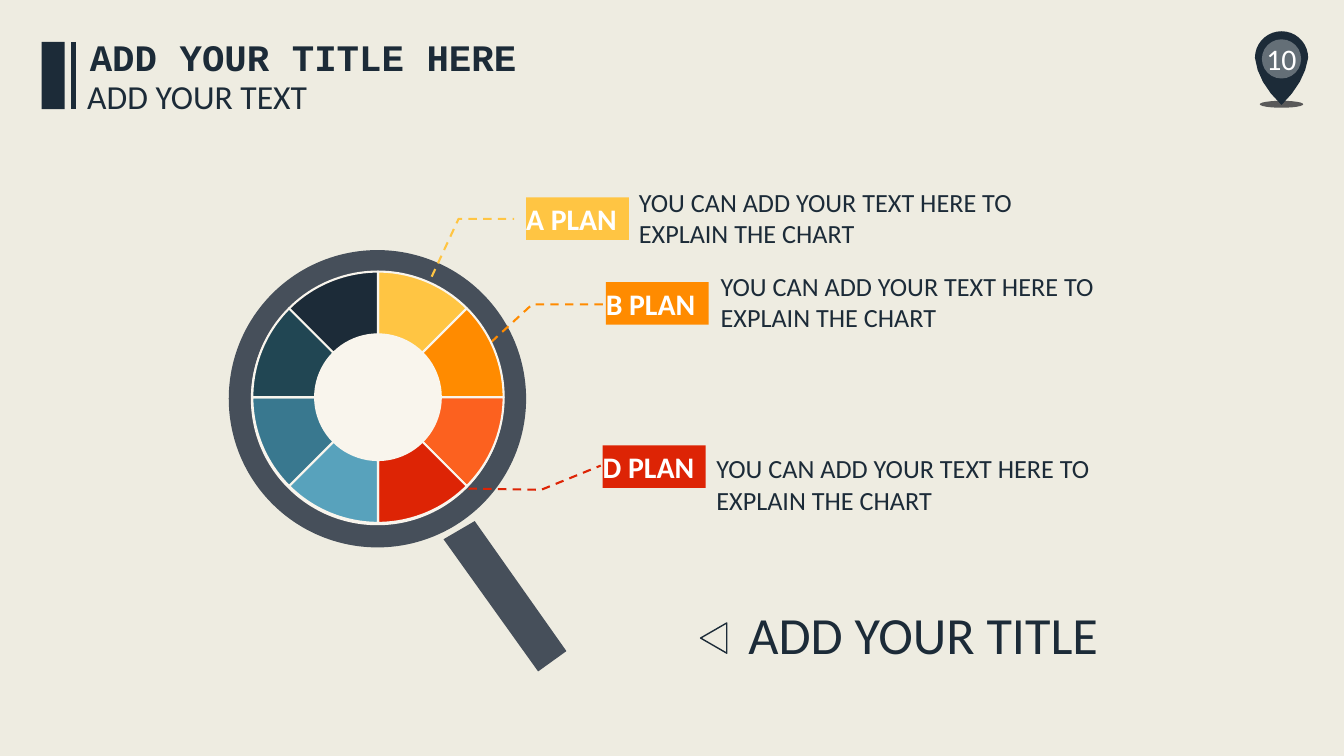
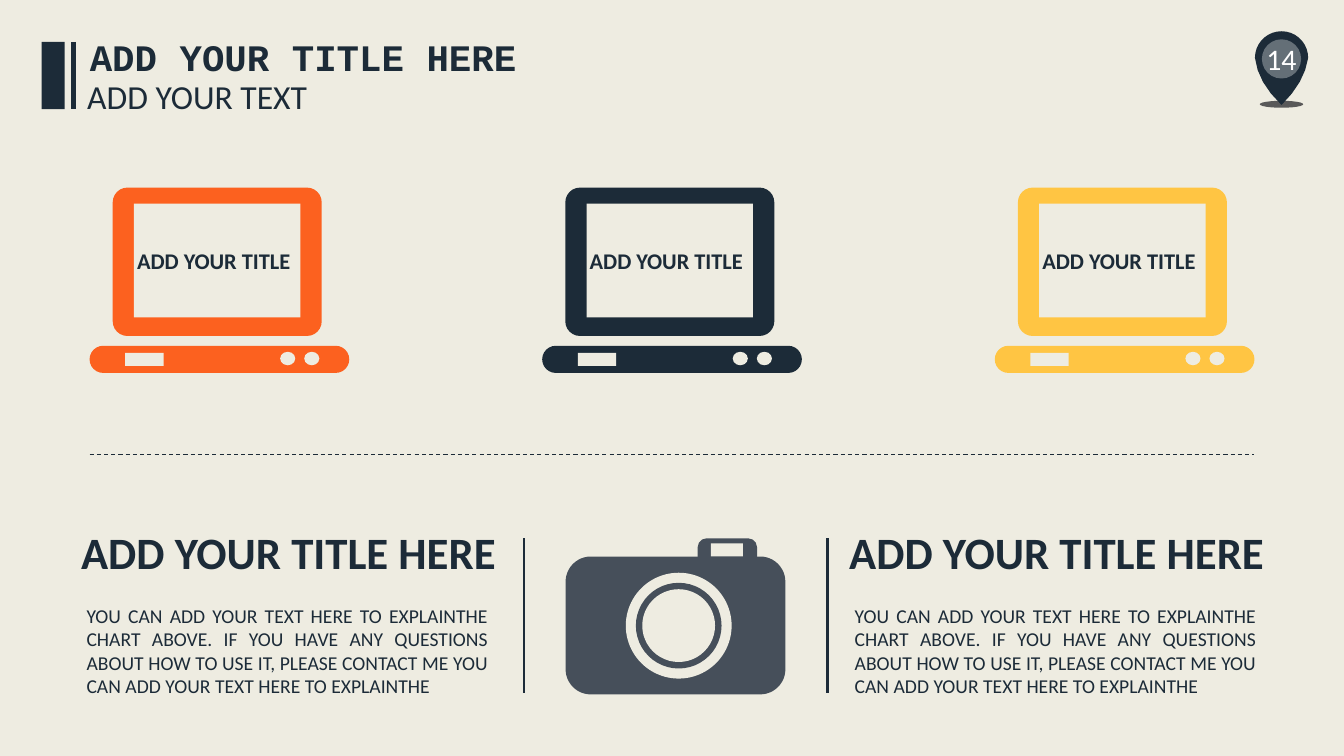
import math
from dataclasses import dataclass
from lxml import etree
from pptx import Presentation
from pptx import util as u
from pptx.chart import data as cd
from pptx.dml import color as dc
from pptx.enum import chart as ch, dml, shapes, text
from pptx.oxml import ns


@dataclass(frozen=True)
class Theme:
    paper: str = "EEECE1"
    ink: str = "1C2B38"
    slate: str = "464F5A"
    cream: str = "F9F5ED"
    shade: str = "595959"
    white: str = "FFFFFF"
    gold: str = "FFC543"
    amber: str = "FF8B00"
    flame: str = "FC611F"
    red: str = "DD2405"
    sky: str = "58A2BC"
    sea: str = "39788F"
    teal: str = "214653"
    sans: str = "Calibri"
    mono: str = "Courier New"
    hero: float = 37.3
    big: float = 32
    head: float = 26.7
    sub: float = 24
    tag: float = 21.3
    note: float = 18.7
    small: float = 16
    body: float = 14


T = Theme()
KIND = shapes.MSO_SHAPE
LEFT, MID, JUST = (text.PP_ALIGN.LEFT, text.PP_ALIGN.CENTER, text.PP_ALIGN.JUSTIFY)


def rgb(tone):
    return dc.RGBColor.from_string(tone)


def paint(item, tone):
    item.fill.solid()
    item.fill.fore_color.rgb = rgb(tone)


def stroke(line, tone, width, dash=False):
    line.color.rgb = rgb(tone)
    line.width = u.Pt(width)
    if dash:
        line.dash_style = dml.MSO_LINE.DASH


def shape(page, kind, x, y, w, h, tone):
    item = page.shapes.add_shape(kind, u.Pt(x), u.Pt(y), u.Pt(w), u.Pt(h))
    item.shadow.inherit = False
    paint(item, tone)
    item.line.fill.background()
    return item


def soft(page, x, y, w, h, r, tone, kind=KIND.ROUNDED_RECTANGLE):
    item = shape(page, kind, x, y, w, h, tone)
    item.adjustments[0] = r / min(w, h)


def disc(page, x, y, rx, ry, tone):
    return shape(page, KIND.OVAL, x - rx, y - ry, 2 * rx, 2 * ry, tone)


def write(frame, words, size, tone=T.ink, bold=False, face=T.sans, align=LEFT):
    para = frame.paragraphs[0]
    para.alignment = align
    run = para.add_run()
    run.text = words
    run.font.name = face
    run.font.size = u.Pt(size)
    run.font.bold = bold
    run.font.color.rgb = rgb(tone)


def label(page, x, y, w, h, words, size, wrap=False, **look):
    frame = page.shapes.add_textbox(u.Pt(x), u.Pt(y), u.Pt(w), u.Pt(h)).text_frame
    frame.word_wrap = wrap
    write(frame, words, size, **look)


def inner(item, words, size, inset=0, **look):
    frame = item.text_frame
    frame.margin_left = u.Pt(inset)
    frame.margin_right = frame.margin_top = frame.margin_bottom = 0
    frame.word_wrap = False
    frame.vertical_anchor = text.MSO_ANCHOR.MIDDLE
    write(frame, words, size, **look)


def rule(page, x, y, w, h, width, dash=False):
    line = page.shapes.add_connector(
        shapes.MSO_CONNECTOR.STRAIGHT, u.Pt(x), u.Pt(y), u.Pt(x + w), u.Pt(y + h))
    stroke(line.line, T.ink, width, dash)
    etree.SubElement(line._element.spPr, ns.qn("a:effectLst"))


def trace(page, x, y, route, closed=True):
    spots = [(u.Pt(x + a), u.Pt(y + b)) for a, b in route]
    pen = page.shapes.build_freeform(*spots[0])
    pen.add_line_segments(spots[1:], close=closed)
    item = pen.convert_to_shape()
    item.shadow.inherit = False
    return item


def solid(page, x, y, tone, route):
    item = trace(page, x, y, route)
    paint(item, tone)
    item.line.fill.background()


def curve(*knots):
    steps = [i / 4 for i in range(1, 5)]
    mix = [((1 - t) ** 2, 2 * t * (1 - t), t * t) for t in steps]
    return [tuple(sum(m * k[i] for m, k in zip(row, knots)) for i in (0, 1)) for row in mix]


def header(page, x, y):
    shape(page, KIND.RECTANGLE, x, y, 16.5, 48, T.ink)
    rule(page, x + 22.8, y, 0, 48, 3)
    label(page, x + 27, y - 9, 320, 39.6, "ADD YOUR TITLE HERE", T.head,
          bold=True, face=T.mono, align=MID)
    label(page, x + 25.5, y + 20.5, 173.5, 36, "ADD YOUR TEXT", T.sub)


def badge(page, x, y, number):
    shape(page, KIND.OVAL, x + 3.5, y + 49.7, 31, 5, T.shade)
    tip = (19, 52.7)
    turns = [math.radians(a) for a in range(180, 361, 10)]
    drop = [(19 + 19 * math.cos(t), 19 + 19 * math.sin(t)) for t in turns]
    drop += curve((38, 19), (35.5, 36.5), tip) + curve(tip, (2, 36.5), (0, 19))[:-1]
    solid(page, x, y, T.ink, drop)
    spot = disc(page, x + 19, y + 19.8, 14, 14, T.white)
    tint = spot._element.spPr.find(ns.qn("a:solidFill"))[0]
    etree.SubElement(tint, ns.qn("a:alpha")).set("val", "32000")
    inner(spot, number, T.tag, tone=T.white, align=MID)


def lens(page, x, y):
    disc(page, x + 106.2, y + 106.2, 106.2, 106.2, T.slate)
    disc(page, x + 106.2, y + 106.2, 90.4, 90.4, T.cream)
    solid(page, x, y, T.slate, [(153.4, 206.6), (221, 301), (241.2, 286.5), (175.7, 193.6)])


def plan(page, x, y, name, tone, gap, drop, route):
    tag = shape(page, KIND.RECTANGLE, x, y, 73.5, 30.3, tone)
    inner(tag, name, T.tag, tone=T.white, bold=True)
    label(page, x + gap, y + drop, 330, 52.6,
          "YOU CAN ADD YOUR TEXT HERE TO EXPLAIN THE CHART", T.note, True)
    lead = trace(page, x, y, route, False)
    lead.fill.background()
    stroke(lead.line, tone, 1.5, True)


def wheel(page, x, y, w, h):
    tones = (T.gold, T.amber, T.flame, T.red, T.sky, T.sea, T.teal, T.ink)
    data = cd.CategoryChartData()
    data.categories = [str(i + 1) for i in range(len(tones))]
    data.add_series("Series 1", [12] * len(tones))
    chart = page.shapes.add_chart(
        ch.XL_CHART_TYPE.DOUGHNUT, u.Pt(x), u.Pt(y), u.Pt(w), u.Pt(h), data).chart
    chart.has_legend = chart.has_title = False
    chart.font.name = T.sans
    chart.font.size = u.Pt(18)
    plot = chart.plots[0]
    plot.vary_by_categories = False
    for i, tone in enumerate(tones):
        part = plot.series[0].points[i].format
        paint(part, tone)
        stroke(part.line, T.cream, 1.5)
    ring = plot._element
    ring.find(ns.qn("c:holeSize")).set("val", "50")
    area = ring.getparent()
    for old in area.findall(ns.qn("c:layout")):
        area.remove(old)
    frame = etree.Element(ns.qn("c:layout"))
    area.insert(0, frame)
    hold = etree.SubElement(frame, ns.qn("c:manualLayout"))
    rows = (("layoutTarget", "inner"), ("xMode", "edge"), ("yMode", "edge"),
            ("x", "0.07"), ("y", "0.04"), ("w", "0.86"), ("h", "0.91"))
    for key, val in rows:
        etree.SubElement(hold, ns.qn("c:" + key)).set("val", val)


def laptop(page, x, y, tone):
    soft(page, x + 16.5, y, 149.3, 106, 10.5, tone)
    glass = shape(page, KIND.RECTANGLE, x + 31.7, y + 11.5, 118.8, 81.2, T.paper)
    inner(glass, "ADD YOUR TITLE", T.small, 2.2, bold=True)
    soft(page, x, y + 113, 185.5, 19.4, 9.7, tone)
    shape(page, KIND.RECTANGLE, x + 25.4, y + 118, 27.4, 9.4, T.paper)
    for knob in (141.5, 158.7):
        disc(page, x + knob, y + 122.1, 5.4, 4.8, T.paper)


def camera(page, x, y):
    soft(page, x + 94.3, y, 42.5, 13.4, 6.5, T.slate, KIND.ROUND_2_SAME_RECTANGLE)
    soft(page, x, y + 13, 157, 98.5, 18, T.slate)
    shape(page, KIND.RECTANGLE, x + 103.7, y + 3.6, 23, 9.4, T.paper)
    for r, tone in ((37.8, T.paper), (30.6, T.slate), (26, T.paper)):
        disc(page, x + 80.8, y + 62.4, r, r, tone)


def column(page, x, y):
    label(page, x - 9, y, 321, 46, "ADD YOUR TITLE HERE", T.big, bold=True, align=MID)
    label(page, x, y + 56.2, 301, 75,
          "YOU CAN ADD YOUR TEXT HERE TO EXPLAINTHE CHART ABOVE. IF YOU HAVE ANY "
          "QUESTIONS ABOUT HOW TO USE IT, PLEASE CONTACT ME YOU CAN ADD YOUR TEXT "
          "HERE TO EXPLAINTHE", T.body, True, align=JUST)


def start(deck, number):
    page = deck.slides.add_slide(deck.slide_layouts[6])
    badge(page, 896.4, 22.3, number)
    header(page, 29.7, 30)
    return page


def search(deck):
    page = start(deck, "10")
    label(page, 525.6, 427, 268, 52.6, "ADD YOUR TITLE", T.hero, align=MID)
    lens(page, 163.4, 178.6)
    plans = (
        (375.8, 141, "A PLAN", T.gold, 73.5, -11.5, [(-76.3, 75.7), (-48.2, 15.3), (-8.6, 15.3)]),
        (432.7, 201.6, "B PLAN", T.amber, 75, -12.2, [(-97.2, 56.9), (-52.5, 15.8), (0, 15.8)]),
        (430.5, 318.2, "D PLAN", T.red, 74.2, 1.5, [(-127.4, 30.3), (-43.9, 31.7), (-1.4, 14.4)]),
    )
    for row in plans:
        plan(page, *row)
    wheel(page, 165.6, 185.8, 208.8, 198)
    mark = shape(page, KIND.ISOSCELES_TRIANGLE, 499, 446.4, 21.6, 18.7, T.paper)
    mark.fill.background()
    mark.rotation = 270
    stroke(mark.line, T.ink, 1)


def gear(deck):
    page = start(deck, "14")
    for i, tone in enumerate((T.flame, T.ink, T.gold)):
        laptop(page, 64 + 323.3 * i, 134, tone)
    rule(page, 64, 324.7, 832, 0, 0.75, True)
    for x, edge in ((54.7, 374.4), (603.4, 591.1)):
        column(page, x, 371.5)
        rule(page, edge, 384.5, 0, 110.5, 1.5)
    camera(page, 404, 384.5)


def main():
    deck = Presentation()
    deck.slide_width, deck.slide_height = u.Pt(960), u.Pt(540)
    paint(deck.slide_master.background, T.paper)
    search(deck)
    gear(deck)
    deck.save("out.pptx")


if __name__ == "__main__":
    main()
